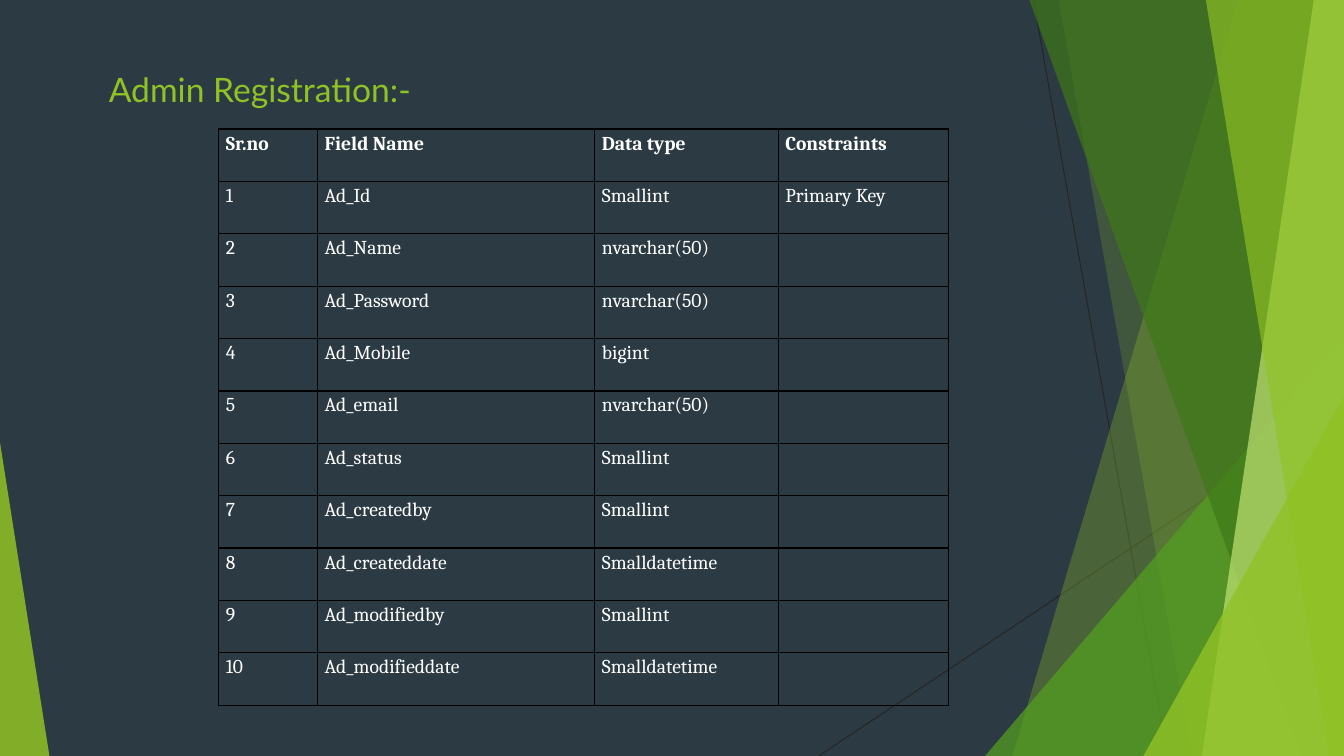
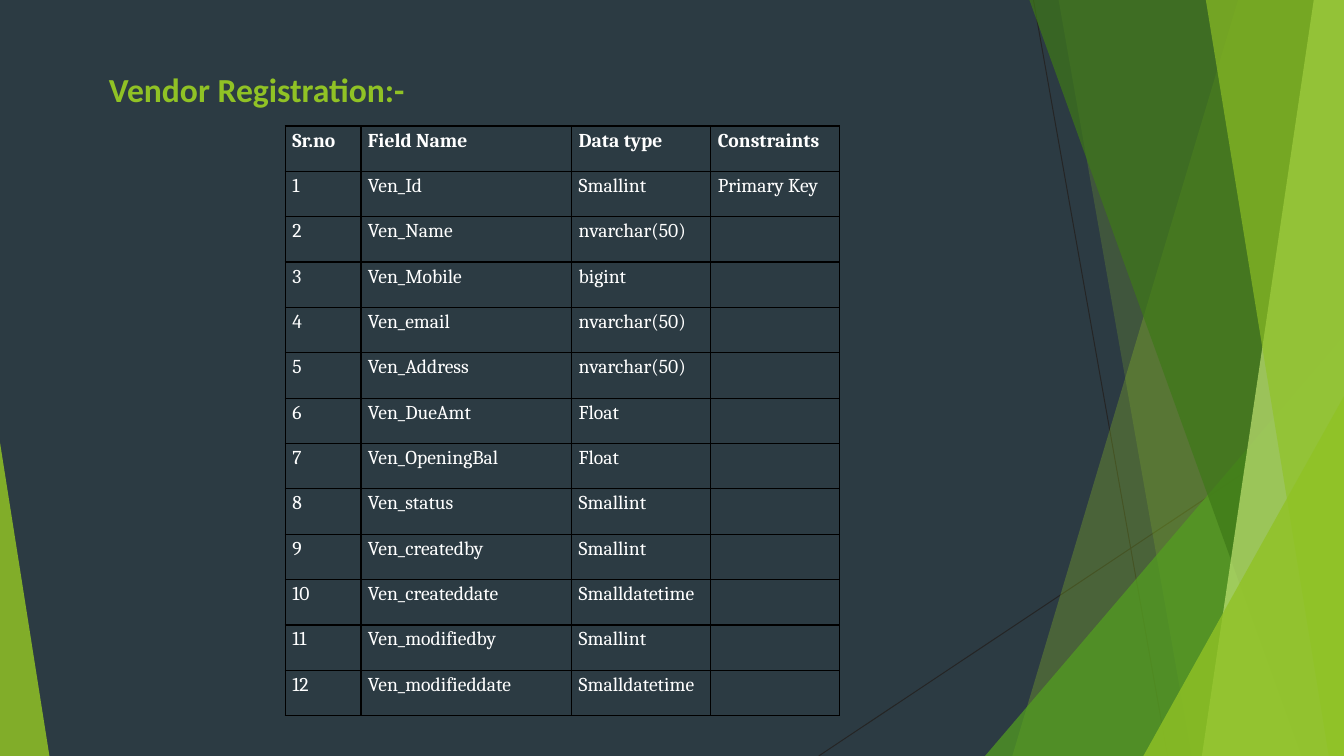
"""Build two slides that describe the registration tables of a database."""
from dataclasses import dataclass

from lxml.etree import SubElement
from pptx import Presentation
from pptx.dml.color import RGBColor
from pptx.enum.shapes import MSO_CONNECTOR
from pptx.enum.text import MSO_AUTO_SIZE
from pptx.oxml import parse_xml
from pptx.oxml.ns import nsdecls, qn
from pptx.slide import Slide
from pptx.table import _Cell as Cell
from pptx.util import Inches, Pt

Point = tuple[float, float]

WIDTH, HEIGHT = 13.33, 7.5
SLATE = RGBColor(0x2C, 0x3B, 0x43)
CHARCOAL = RGBColor(0x25, 0x25, 0x25)
LIME = RGBColor(0x90, 0xC2, 0x25)
GREEN = RGBColor(0x53, 0x9F, 0x20)
FOREST = RGBColor(0x3E, 0x78, 0x18)
PALE_LIME = RGBColor(0xC0, 0xE3, 0x74)
WHITE = RGBColor(0xFF, 0xFF, 0xFF)
BLACK = RGBColor(0x00, 0x00, 0x00)

TABLE_FONT = "Cambria"
HEADINGS = ("Sr.no", "Field Name", "Data type", "Constraints")


@dataclass(frozen=True)
class Facet:
    """A translucent polygon of the decoration."""

    corners: tuple[Point, ...]
    color: RGBColor
    opacity: int


@dataclass(frozen=True)
class Field:
    """One column of a database table."""

    name: str
    data_type: str
    constraint: str = ""


@dataclass(frozen=True)
class Registration:
    """The content and layout of one slide."""

    title: str
    title_font: str
    title_bold: bool
    left: float
    top: float
    column_widths: tuple[float, ...]
    row_height: float
    fields: tuple[Field, ...]


def right_facet(top_left: Point, bottom_left: float, color: RGBColor, opacity: int) -> Facet:
    """Return a facet that reaches the right edge and the bottom of the slide."""
    left, top = top_left
    corners = ((WIDTH, top), (bottom_left, HEIGHT), (WIDTH, HEIGHT))
    if left < WIDTH:
        corners = (corners[0], top_left, *corners[1:])
    return Facet(corners, color, opacity)


RAYS = (((10.25, 0), (11.58, HEIGHT)), ((WIDTH, 4.03), (8.12, HEIGHT)))
FACETS = (
    right_facet((12.28, 0), 10.04, LIME, 30),
    right_facet((10.5, 0), 11.82, LIME, 20),
    right_facet((WIDTH, 3.33), 9.77, GREEN, 72),
    right_facet((10.21, 0), 12.91, FOREST, 70),
    right_facet((13.03, 0), 11.92, PALE_LIME, 70),
    right_facet((11.96, 0), 13.18, LIME, 65),
    right_facet((WIDTH, 3.93), 11.34, LIME, 80),
    Facet(((0, 4.39), (0, HEIGHT), (0.49, HEIGHT)), LIME, 85),
)

REGISTRATIONS = (
    Registration(
        "Admin Registration:-", "Lato", False, 2.17, 1.28, (0.98, 2.75, 1.82, 1.69), 0.52,
        (
            Field("Ad_Id", "Smallint", "Primary Key"),
            Field("Ad_Name", "nvarchar(50)"),
            Field("Ad_Password", "nvarchar(50)"),
            Field("Ad_Mobile", "bigint"),
            Field("Ad_email", "nvarchar(50)"),
            Field("Ad_status", "Smallint"),
            Field("Ad_createdby", "Smallint"),
            Field("Ad_createddate", "Smalldatetime"),
            Field("Ad_modifiedby", "Smallint"),
            Field("Ad_modifieddate", "Smalldatetime"),
        ),
    ),
    Registration(
        "Vendor Registration:-", "Calibri", True, 2.83, 1.25, (0.75, 2.09, 1.38, 1.28), 0.45,
        (
            Field("Ven_Id", "Smallint", "Primary Key"),
            Field("Ven_Name", "nvarchar(50)"),
            Field("Ven_Mobile", "bigint"),
            Field("Ven_email", "nvarchar(50)"),
            Field("Ven_Address", "nvarchar(50)"),
            Field("Ven_DueAmt", "Float"),
            Field("Ven_OpeningBal", "Float"),
            Field("Ven_status", "Smallint"),
            Field("Ven_createdby", "Smallint"),
            Field("Ven_createddate", "Smalldatetime"),
            Field("Ven_modifiedby", "Smallint"),
            Field("Ven_modifieddate", "Smalldatetime"),
        ),
    ),
)


def draw_ray(slide: Slide, start: Point, end: Point) -> None:
    """Draw a thin line without a shadow."""
    ray = slide.shapes.add_connector(
        MSO_CONNECTOR.STRAIGHT, *map(Inches, start), *map(Inches, end)
    )
    ray.line.color.rgb = CHARCOAL
    ray.line.width = Pt(0.72)
    SubElement(ray._element.spPr, qn("a:effectLst"))


def draw_facet(slide: Slide, facet: Facet) -> None:
    """Draw a translucent polygon without an outline."""
    first, *others = [(Inches(x), Inches(y)) for x, y in facet.corners]
    outline = slide.shapes.build_freeform(*first)
    outline.add_line_segments(others, close=True)
    polygon = outline.convert_to_shape()
    polygon.shadow.inherit = False
    polygon.line.fill.background()
    polygon.fill.solid()
    polygon.fill.fore_color.rgb = facet.color
    tint = polygon._element.spPr.find(f"{qn('a:solidFill')}/{qn('a:srgbClr')}")
    SubElement(tint, qn("a:alpha"), val=str(facet.opacity * 1000))


def draw_title(slide: Slide, registration: Registration) -> None:
    """Write the slide title."""
    title = slide.shapes.add_textbox(Inches(1.08), Inches(0.68), Inches(3.25), Inches(0.4))
    frame = title.text_frame
    frame.word_wrap = True
    frame.auto_size = MSO_AUTO_SIZE.SHAPE_TO_FIT_TEXT
    frame.margin_left = frame.margin_right = frame.margin_top = frame.margin_bottom = 0
    run = frame.paragraphs[0].add_run()
    run.text = registration.title
    run.font.name = registration.title_font
    run.font.size = Pt(24)
    run.font.bold = registration.title_bold
    run.font.color.rgb = LIME


def set_borders(cell: Cell) -> None:
    """Give a cell a thin border on every side."""
    properties = cell._tc.get_or_add_tcPr()
    for position, side in enumerate("LRTB"):
        border = parse_xml(
            f'<a:ln{side} {nsdecls("a")} w="{Pt(1)}"><a:solidFill>'
            f'<a:srgbClr val="{BLACK}"/></a:solidFill></a:ln{side}>'
        )
        properties.insert(position, border)


def fill_cell(cell: Cell, text: str, bold: bool) -> None:
    """Style a cell and write its text."""
    cell.fill.background()
    set_borders(cell)
    cell.margin_left = cell.margin_right = Inches(0.07)
    cell.margin_top = cell.margin_bottom = 0
    paragraph = cell.text_frame.paragraphs[0]
    paragraph.line_spacing = 1.15
    if text:
        run = paragraph.add_run()
        run.text = text
        run.font.name = TABLE_FONT
        run.font.size = Pt(14)
        run.font.bold = bold
        run.font.color.rgb = WHITE


def draw_fields(slide: Slide, registration: Registration) -> None:
    """Draw the table of numbered fields."""
    records = [HEADINGS] + [
        (str(number), field.name, field.data_type, field.constraint)
        for number, field in enumerate(registration.fields, start=1)
    ]
    table = slide.shapes.add_table(
        len(records), len(HEADINGS), Inches(registration.left), Inches(registration.top),
        Inches(sum(registration.column_widths)),
        Inches(registration.row_height * len(records)),
    ).table
    table.horz_banding = False
    for column, width in zip(table.columns, registration.column_widths):
        column.width = Inches(width)
    for index, (row, record) in enumerate(zip(table.rows, records)):
        row.height = Inches(registration.row_height)
        for cell, text in zip(row.cells, record):
            fill_cell(cell, text, bold=index == 0)


def main() -> None:
    """Build and save the presentation."""
    deck = Presentation()
    deck.slide_width, deck.slide_height = Inches(WIDTH), Inches(HEIGHT)
    backdrop = deck.slide_master.background.fill
    backdrop.solid()
    backdrop.fore_color.rgb = SLATE
    for registration in REGISTRATIONS:
        slide = deck.slides.add_slide(deck.slide_layouts[6])
        for start, end in RAYS:
            draw_ray(slide, start, end)
        for facet in FACETS:
            draw_facet(slide, facet)
        draw_title(slide, registration)
        draw_fields(slide, registration)
    deck.save("out.pptx")


if __name__ == "__main__":
    main()
